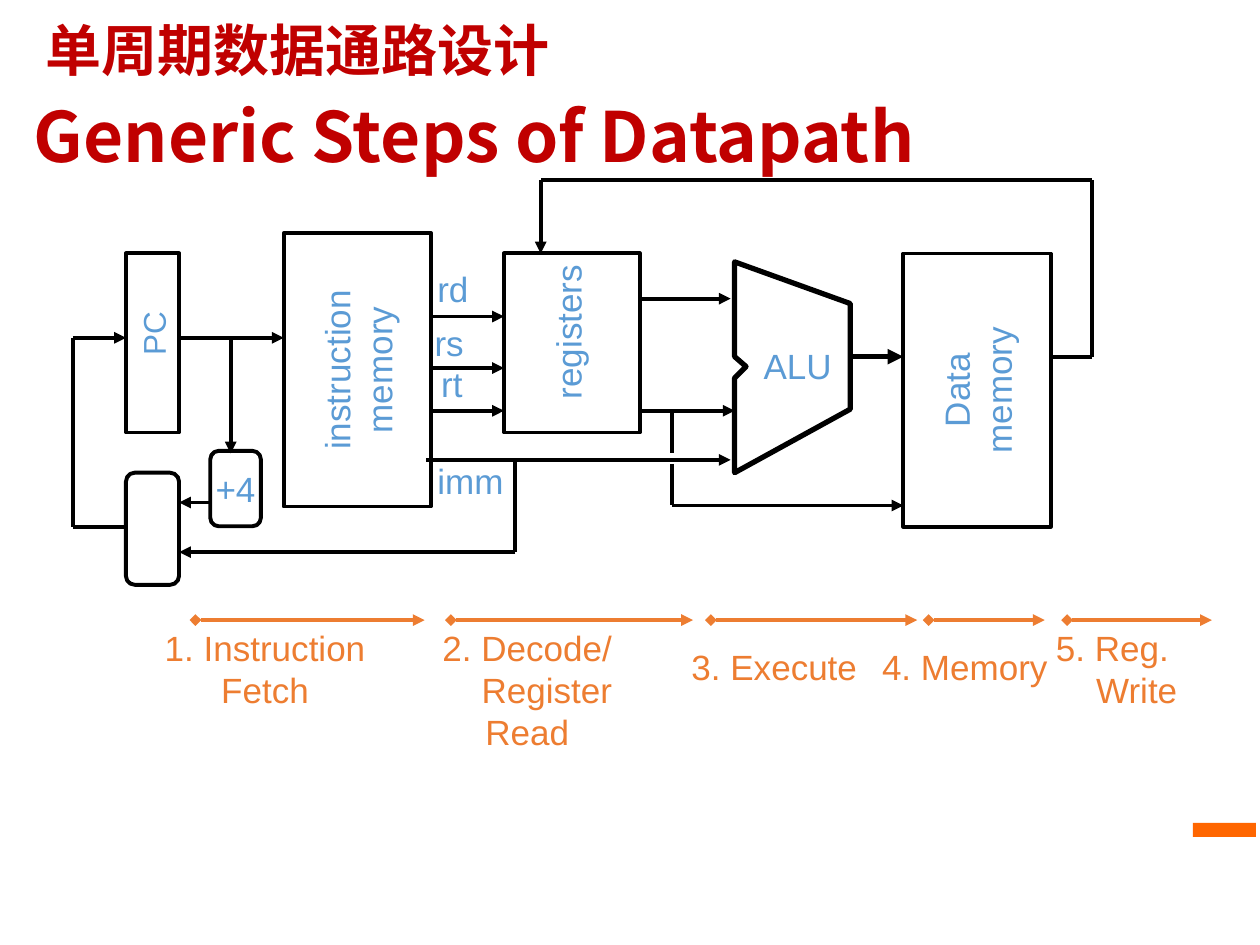
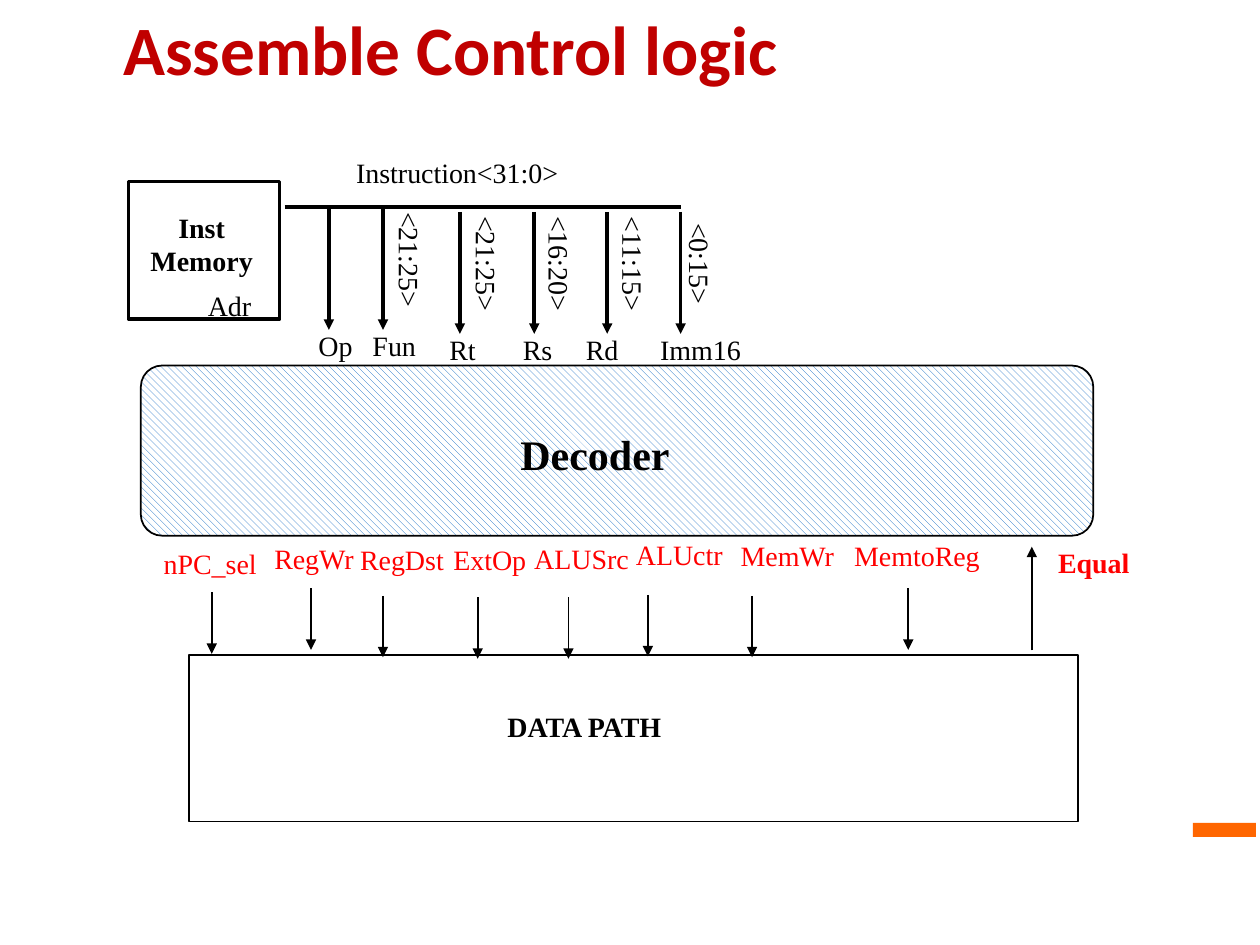
from itertools import pairwise

from lxml.etree import SubElement
from pptx import Presentation
from pptx.dml.color import RGBColor
from pptx.enum.dml import MSO_PATTERN
from pptx.enum.shapes import MSO_CONNECTOR, MSO_SHAPE
from pptx.enum.text import MSO_ANCHOR, MSO_AUTO_SIZE, PP_ALIGN
from pptx.oxml.ns import qn
from pptx.util import Cm, Pt

COLORS = {
    "title": "C00000",
    "accent": "FF6600",
    "block": "5B9BD5",
    "step": "ED7D31",
    "signal": "FF0000",
    "hatch": "0563C1",
    "black": "000000",
    "white": "FFFFFF",
}
BLOCK_TEXT = {"size": 20, "font": "Arial", "color": "block", "align": PP_ALIGN.CENTER, "anchor": MSO_ANCHOR.MIDDLE}
STEP_TEXT = {**BLOCK_TEXT, "color": "step"}
LABEL_TEXT = {"size": 16, "font": "Times New Roman"}
TITLE_TEXT = {"color": "title", "bold": True, "anchor": MSO_ANCHOR.MIDDLE, "wrap": True, "spacing": 0.9}


def color(name):
    """Return the named colour."""
    return RGBColor.from_string(COLORS[name])


def write_text(shape, text, size=16, font="Arial", color_name="black", bold=False, align=PP_ALIGN.LEFT,
               anchor=MSO_ANCHOR.TOP, wrap=False, spacing=None, indents=(), **options):
    """Fill a shape with one paragraph per line of text."""
    frame = shape.text_frame
    frame.word_wrap = wrap
    frame.vertical_anchor = anchor
    for index, line in enumerate(text.split("\n")):
        paragraph = frame.add_paragraph() if index else frame.paragraphs[0]
        paragraph.alignment = align
        if spacing:
            paragraph.line_spacing = spacing
        if index < len(indents):
            paragraph._p.get_or_add_pPr().set("marL", str(Cm(indents[index])))
        run = paragraph.add_run()
        run.text = line
        run.font.size = Pt(size)
        run.font.bold = bold
        run.font.color.rgb = color(options.get("color", color_name))
        run.font.name = font
        SubElement(run._r.get_or_add_rPr(), qn("a:ea")).set("typeface", font)


def add_label(slide, box, text, rotation=0, **text_format):
    """Add a text box, growing with its text unless it wraps."""
    label = slide.shapes.add_textbox(*map(Cm, box))
    label.rotation = rotation
    write_text(label, text, **text_format)
    if not text_format.get("wrap"):
        label.text_frame.auto_size = MSO_AUTO_SIZE.SHAPE_TO_FIT_TEXT
    return label


def outline(shape, width, fill=None):
    """Give a shape a black outline and an optional plain fill."""
    shape.shadow.inherit = False
    shape.line.color.rgb = color("black")
    shape.line.width = Pt(width)
    if fill:
        shape.fill.solid()
        shape.fill.fore_color.rgb = color(fill)
    else:
        shape.fill.background()


def add_block(slide, box, text="", corner=None, width=2.25, fill="white", rotation=0):
    """Add an outlined block, rounded when a corner ratio is given."""
    kind = MSO_SHAPE.ROUNDED_RECTANGLE if corner else MSO_SHAPE.RECTANGLE
    block = slide.shapes.add_shape(kind, *map(Cm, box))
    if corner:
        block.adjustments[0] = corner
    block.rotation = rotation
    outline(block, width, fill)
    if text:
        write_text(block, text, **BLOCK_TEXT)
    return block


def add_wire(slide, *points, width=2.25, color_name="black", head=None, tail="triangle"):
    """Join the points by straight lines, with ends on the first and last."""
    segments = list(pairwise(points))
    for index, (start, end) in enumerate(segments):
        connector = slide.shapes.add_connector(MSO_CONNECTOR.STRAIGHT, *map(Cm, (*start, *end)))
        connector.line.color.rgb = color(color_name)
        connector.line.width = Pt(width)
        SubElement(connector._element.spPr, qn("a:effectLst"))
        line = connector.line._get_or_add_ln()
        if head and index == 0:
            SubElement(line, qn("a:headEnd")).set("type", head)
        if tail and index == len(segments) - 1:
            SubElement(line, qn("a:tailEnd")).set("type", tail)


def add_slide(presentation, title, box, font):
    """Add a blank slide with its title and the accent bar."""
    slide = presentation.slides.add_slide(presentation.slide_layouts[6])
    bar = slide.shapes.add_shape(MSO_SHAPE.RECTANGLE, Cm(24.05), Cm(16.59), Cm(1.27), Cm(0.28))
    bar.shadow.inherit = False
    bar.fill.solid()
    bar.fill.fore_color.rgb = color("accent")
    bar.line.fill.background()
    add_label(slide, box, title, size=39.6, font=font, **TITLE_TEXT)
    return slide


def add_alu(slide):
    """Add the notched ALU outline with its name."""
    add_label(slide, (15.14, 6.83, 1.88, 1.09), "ALU", **{**BLOCK_TEXT, "anchor": MSO_ANCHOR.TOP})
    corners = [(17.14, 6.12), (17.14, 8.25), (14.81, 9.53), (14.81, 7.62), (15.04, 7.39), (14.81, 7.19)]
    builder = slide.shapes.build_freeform(Cm(14.81), Cm(5.28))
    builder.add_line_segments([(Cm(x), Cm(y)) for x, y in corners], close=True)
    outline(builder.convert_to_shape(), 3)


def add_blocks(slide):
    """Add the hardware blocks of the datapath."""
    add_block(slide, (2.54, 5.11, 1.07, 3.61), fill=None)
    add_label(slide, (2.39, 6.22, 1.4, 1.02), "PC", rotation=270, **{**BLOCK_TEXT, "size": 18})
    add_block(slide, (4.45, 5.97, 5.51, 2.97), "instruction\nmemory", rotation=270)
    add_block(slide, (4.24, 9.09, 1.02, 1.52), "+4", corner=0.167)
    add_block(slide, (10.16, 5.11, 2.74, 3.61))
    add_label(slide, (9.83, 6.15, 3.23, 1.09), "registers", rotation=270, **BLOCK_TEXT)
    add_alu(slide)
    add_block(slide, (16.94, 6.38, 5.51, 2.97), "Data\nmemory", rotation=270)
    add_block(slide, (2.54, 9.53, 1.07, 2.26), corner=0.167)


def add_datapath_wires(slide):
    """Connect the hardware blocks."""
    for y in (6.38, 7.42, 8.28):
        add_wire(slide, (8.69, y), (10.16, y))
    fields = [("rd", 8.56, 5.28, 1.14), ("rs", 8.51, 6.35, 1.09), ("rt", 8.64, 7.19, 0.94), ("imm", 8.56, 9.14, 1.85)]
    for name, left, top, width in fields:
        add_label(slide, (left, top, width, 1.09), name, **BLOCK_TEXT)
    add_wire(slide, (3.61, 6.81), (5.72, 6.81))
    add_wire(slide, (4.65, 6.81), (4.65, 9.14))
    add_wire(slide, (4.24, 10.13), (3.61, 10.13))
    add_wire(slide, (2.54, 10.62), (1.47, 10.62), (1.47, 6.81), (2.54, 6.81))
    add_wire(slide, (8.59, 9.27), (14.73, 9.27))
    add_wire(slide, (10.39, 9.27), (10.39, 11.13), (3.61, 11.13))
    add_wire(slide, (12.9, 6.02), (14.73, 6.02))
    add_wire(slide, (12.9, 8.28), (14.81, 8.28))
    add_wire(slide, (13.54, 8.28), (13.54, 9.14), tail=None)
    add_wire(slide, (13.54, 9.35), (13.54, 10.19), (18.21, 10.19))
    add_wire(slide, (17.14, 7.19), (18.21, 7.19), width=3)
    add_wire(slide, (21.16, 7.19), (22.02, 7.19), (22.02, 3.63), (10.9, 3.63), (10.9, 5.11))


def add_steps(slide):
    """Add the five step arrows with their names."""
    steps = [
        ("1. Instruction\nFetch", (3.07, 12.5, 4.55, 1.96), 3.94, 8.56, ()),
        ("2. Decode/\nRegister\nRead", (8.66, 12.5, 3.94, 2.8), 9.09, 13.97, (0, 0.79)),
        ("3. Execute", (13.69, 12.9, 3.84, 1.09), 14.33, 18.49, ()),
        ("4. Memory", (17.53, 12.9, 3.84, 1.09), 18.72, 21.06, ()),
        ("5. Reg.\nWrite", (20.85, 12.5, 3.15, 1.96), 21.51, 24.43, (0, 0.98)),
    ]
    for name, box, start, end, indents in steps:
        add_label(slide, box, name, indents=indents, **STEP_TEXT)
        add_wire(slide, (start, 12.5), (end, 12.5), color_name="step", head="diamond")


def build_datapath_slide(presentation):
    """Build the slide on the steps of the datapath."""
    font = "Noto Sans CJK SC"
    slide = add_slide(presentation, "Generic Steps of Datapath", (0.43, 2.16, 21.62, 1.32), font)
    add_label(slide, (0.66, 0.41, 22.02, 1.32), "单周期数据通路设计", size=32, font=font, **TITLE_TEXT)
    add_blocks(slide)
    add_datapath_wires(slide)
    add_steps(slide)


def add_instruction_fields(slide):
    """Add the instruction memory, its bus and the fields taken from it."""
    add_block(slide, (2.59, 3.66, 3.05, 2.77), width=2, fill=None)
    add_label(slide, (3.94, 5.69, 1.4, 0.94), "Adr", **LABEL_TEXT)
    add_label(slide, (2.77, 4.11, 2.59, 1.63), "Inst\nMemory", bold=True, align=PP_ALIGN.CENTER, **LABEL_TEXT)
    add_label(slide, (6.93, 3.02, 4.65, 0.94), "Instruction<31:0>", **LABEL_TEXT)
    add_wire(slide, (5.74, 4.17), (13.72, 4.17), width=2, tail=None)
    fields = [
        ("Op", 6.17, 1.19, 6.63, 4.19, None),
        ("Fun", 7.26, 1.4, 7.72, 4.19, ("<21:25>", 7.04, 2.44)),
        ("Rt", 8.81, 1.04, 9.27, 4.27, ("<21:25>", 8.59, 2.44)),
        ("Rs", 10.29, 1.12, 10.77, 4.27, ("<16:20>", 10.06, 2.44)),
        ("Rd", 11.56, 1.17, 12.24, 4.27, ("<11:15>", 11.56, 2.41)),
        ("Imm16", 13.06, 2.16, 13.72, 4.27, ("<0:15>", 13.03, 2.16)),
    ]
    for name, left, width, x, top, bits in fields:
        add_wire(slide, (x, top), (x, top + 2.46), width=2)
        add_label(slide, (left, top + 2.3, width, 0.94), name, **LABEL_TEXT)
        if bits:
            bit_range, bits_left, bits_width = bits
            add_label(slide, (bits_left, top + 0.59, bits_width, 0.94), bit_range, rotation=90, **LABEL_TEXT)


def add_control_signals(slide):
    """Add the control signals between decoder and data path."""
    signals = [
        ("nPC_sel", 3.05, 10.9, 2.41, 4.27, 11.94),
        ("RegWr", 5.28, 10.8, 2.13, 6.27, 11.86),
        ("RegDst", 7.01, 10.82, 2.21, 7.72, 12.01),
        ("ExtOp", 8.89, 10.82, 2.01, 9.63, 12.04),
        ("ALUSrc", 10.52, 10.8, 2.44, 11.46, 12.04),
        ("ALUctr", 12.57, 10.72, 2.31, 13.06, 11.99),
        ("MemWr", 14.68, 10.74, 2.41, 15.16, 12.01),
        ("MemtoReg", 16.97, 10.74, 3.07, 18.31, 11.86),
    ]
    for name, left, top, width, x, start in signals:
        add_label(slide, (left, top, width, 0.94), name, color="signal", **LABEL_TEXT)
        add_wire(slide, (x, start), (x, start + 1.24), width=1)
    add_label(slide, (21.08, 10.87, 1.96, 0.94), "Equal", color="signal", bold=True, **LABEL_TEXT)
    add_wire(slide, (20.8, 13.11), (20.8, 11.02), width=1)


def build_control_slide(presentation):
    """Build the slide on the control logic."""
    slide = add_slide(presentation, "Assemble Control logic", (2.24, 0.64, 20.22, 0.84), "Calibri")
    add_block(slide, (3.81, 13.21, 17.93, 3.35), width=1, fill=None)
    add_label(slide, (9.98, 14.17, 3.63, 0.94), "DATA PATH", bold=True, **LABEL_TEXT)
    decoder = add_block(slide, (2.84, 7.37, 19.2, 3.43), corner=0.125, width=1)
    decoder.fill.patterned()
    decoder.fill.pattern = MSO_PATTERN.WIDE_DOWNWARD_DIAGONAL
    decoder.fill.fore_color.rgb = color("hatch")
    decoder.fill.back_color.rgb = color("white")
    add_label(slide, (10.24, 8.51, 3.56, 1.27), "Decoder", bold=True, **{**LABEL_TEXT, "size": 24})
    add_instruction_fields(slide)
    add_control_signals(slide)


def main():
    """Build and save the presentation."""
    presentation = Presentation()
    presentation.slide_width = Cm(25.4)
    presentation.slide_height = Cm(19.05)
    build_datapath_slide(presentation)
    build_control_slide(presentation)
    presentation.save("out.pptx")


if __name__ == "__main__":
    main()
